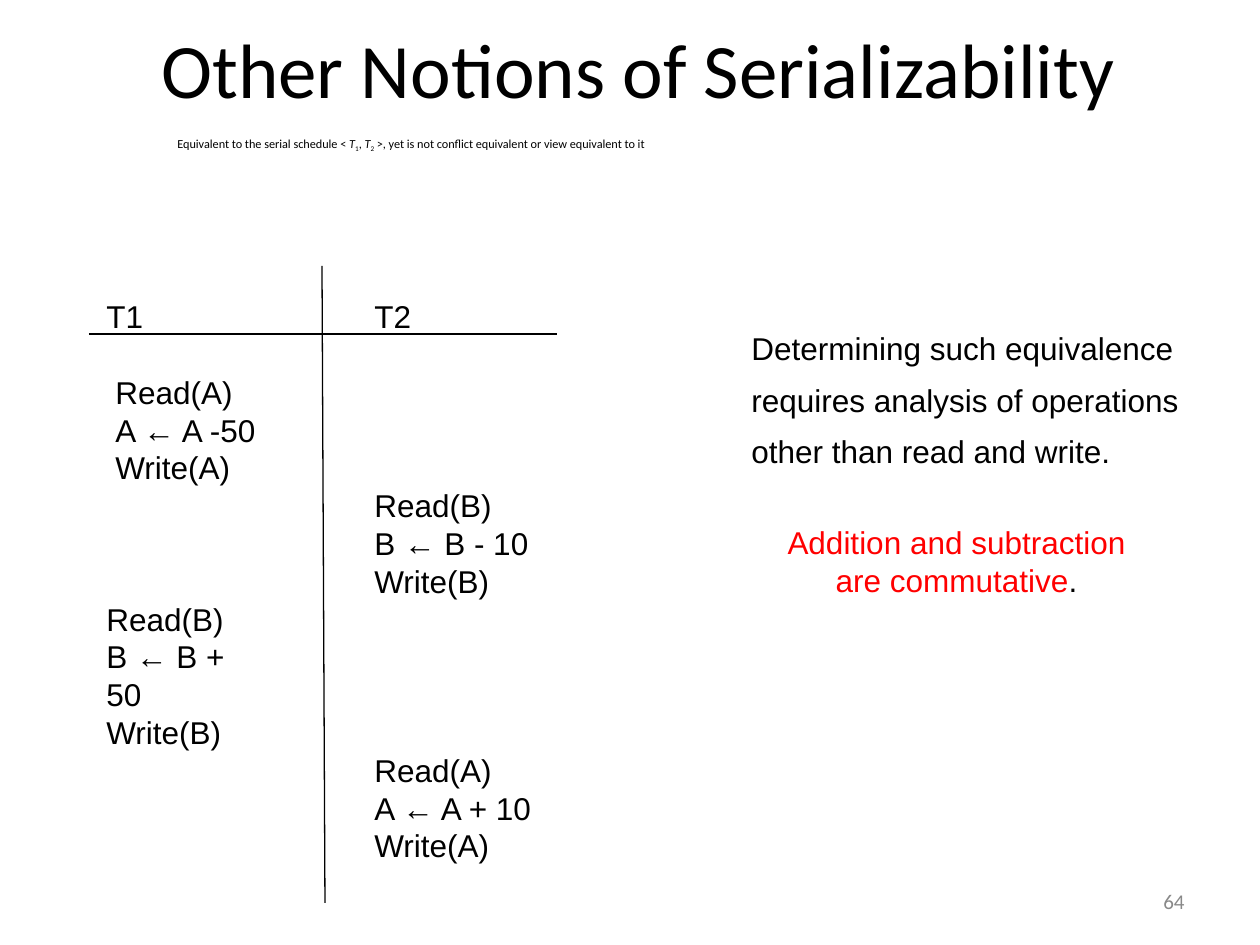
from dataclasses import dataclass

from lxml import etree
from pptx import Presentation
from pptx import util as u
from pptx.dml.color import RGBColor
from pptx.enum import shapes, text
from pptx.oxml.ns import qn


@dataclass(frozen=True)
class Theme:
    heading: str = "Calibri"
    body: str = "Arial"
    ink: str = "000000"
    accent: str = "FF0000"
    muted: str = "898989"
    title: float = 44
    caption: float = 7
    text: float = 18
    number: float = 12
    line: float = 21.6  # line pitch of the body text
    gap: float = 7.9
    rule: float = 0.75


T = Theme()
LEFT, CENTER, RIGHT = text.PP_ALIGN.LEFT, text.PP_ALIGN.CENTER, text.PP_ALIGN.RIGHT
MIDDLE = text.MSO_ANCHOR.MIDDLE


def px(n):
    return u.Emu(round(n * 914400 / 126))


def add_box(s, at, anchor=text.MSO_ANCHOR.TOP, fit=False):
    tf = s.shapes.add_textbox(*map(px, at)).text_frame
    tf.vertical_anchor = anchor
    tf.word_wrap = not fit
    if fit:
        tf.auto_size = text.MSO_AUTO_SIZE.SHAPE_TO_FIT_TEXT
    return tf


def next_paragraph(tf):
    return tf.add_paragraph() if tf.paragraphs[0].runs else tf.paragraphs[0]


def style(p, size, name=T.body, color=T.ink, align=LEFT):
    p.alignment = align
    p.font.size, p.font.name = u.Pt(size), name
    p.font.color.rgb = RGBColor.from_string(color)


def add_label(s, at, words, size, color=T.ink, align=CENTER):
    p = next_paragraph(add_box(s, at, MIDDLE))
    p.add_run().text = words
    style(p, size, T.heading, color, align)


def add_caption(s, at, runs):
    p = next_paragraph(add_box(s, at))
    for words, kind in runs:
        r = p.add_run()
        r.text = words
        if kind == "italic":
            r.font.italic = True
        elif kind == "sub":
            r._r.get_or_add_rPr().set("baseline", "-25000")
    style(p, T.caption, T.heading)


def add_lines(tf, lines, before=0, indent=0, gap=0, color=T.ink, align=LEFT):
    """Add lines; the first stands `before` points below what precedes it."""
    for i, words in enumerate(lines):
        p = next_paragraph(tf)
        p.add_run().text = words
        if indent:
            p._p.get_or_add_pPr().set("marL", str(px(indent)))
        p.line_spacing = u.Pt(T.line)
        p.space_before = u.Pt(gap if i else before)
        style(p, T.text, color=color, align=align)


def add_schedule(s, at, name, blocks):
    """One transaction column; each block is (blank rows above, indent, steps)."""
    tf = add_box(s, at, fit=True)
    add_lines(tf, [name])
    for rows, indent, steps in blocks:
        add_lines(tf, steps, before=round(rows * T.line, 1), indent=indent)


def add_rule(s, x1, y1, x2, y2):
    c = s.shapes.add_connector(shapes.MSO_CONNECTOR.STRAIGHT, *map(px, (x1, y1, x2, y2)))
    c.line.color.rgb = RGBColor.from_string(T.ink)
    c.line.width = u.Pt(T.rule)
    etree.SubElement(c._element.spPr, qn("a:effectLst"))


def main():
    prs = Presentation()
    prs.slide_width, prs.slide_height = px(1260), px(945)
    s = prs.slides.add_slide(prs.slide_layouts[6])

    # Heading and caption
    add_label(s, (82, 10, 1113, 116), "Other Notions of Serializability", T.title)
    add_caption(s, (165, 130, 1000, 102), [
        ("Equivalent to the serial schedule < ", ""),
        ("T", "italic"), ("1", "sub"), (", ", ""), ("T", "italic"), ("2", "sub"),
        (" >, yet is not conflict equivalent or view equivalent to it", ""),
    ])

    # Schedule: two transactions over time
    add_schedule(s, (94, 291, 186, 428), "T1", [
        (1, 9, ["Read(A)", "A ← A -50", "Write(A)"]),
        (3, 0, ["Read(B)", "B ← B + 50", "Write(B)"]),
    ])
    add_schedule(s, (362, 291, 186, 580), "T2", [
        (4, 0, ["Read(B)", "B ← B - 10", "Write(B)"]),
        (4, 0, ["Read(A)", "A ← A + 10", "Write(A)"]),
    ])
    add_rule(s, 89, 334, 557, 334)
    add_rule(s, 322, 266, 325, 903)

    # Remarks
    add_lines(add_box(s, (739, 323, 461, 192), fit=True), [
        "Determining such equivalence",
        "requires analysis of operations",
        "other than read and write.",
    ], gap=T.gap)
    tf = add_box(s, (775, 517, 363, 88), fit=True)
    add_lines(tf, ["Addition and subtraction", "are commutative"],
              color=T.accent, align=CENTER)
    r = tf.paragraphs[-1].add_run()
    r.text = "."
    r.font.color.rgb = RGBColor.from_string(T.ink)

    # Slide number
    add_label(s, (903, 876, 294, 50), "64", T.number, T.muted, RIGHT)

    prs.save("out.pptx")


if __name__ == "__main__":
    main()
